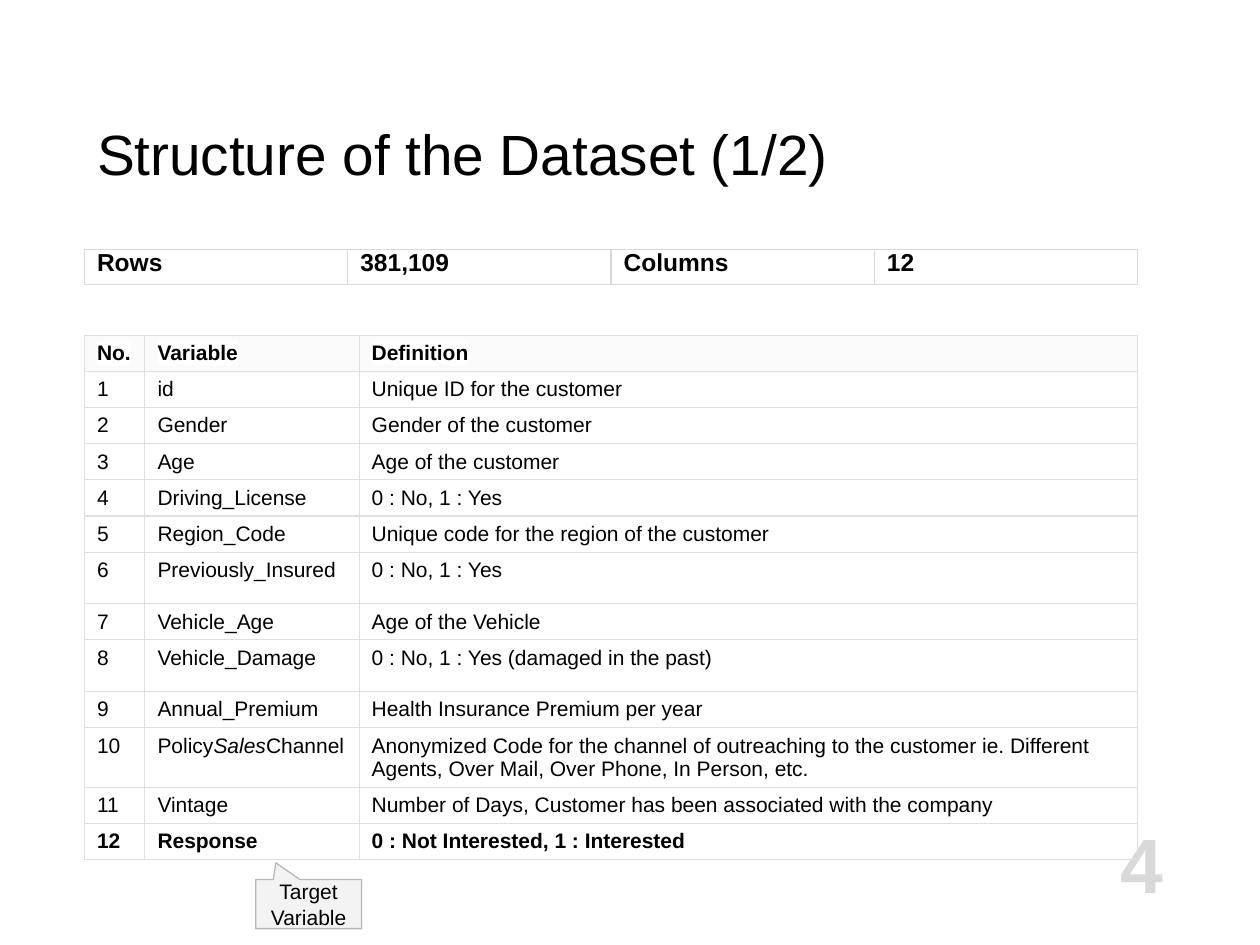
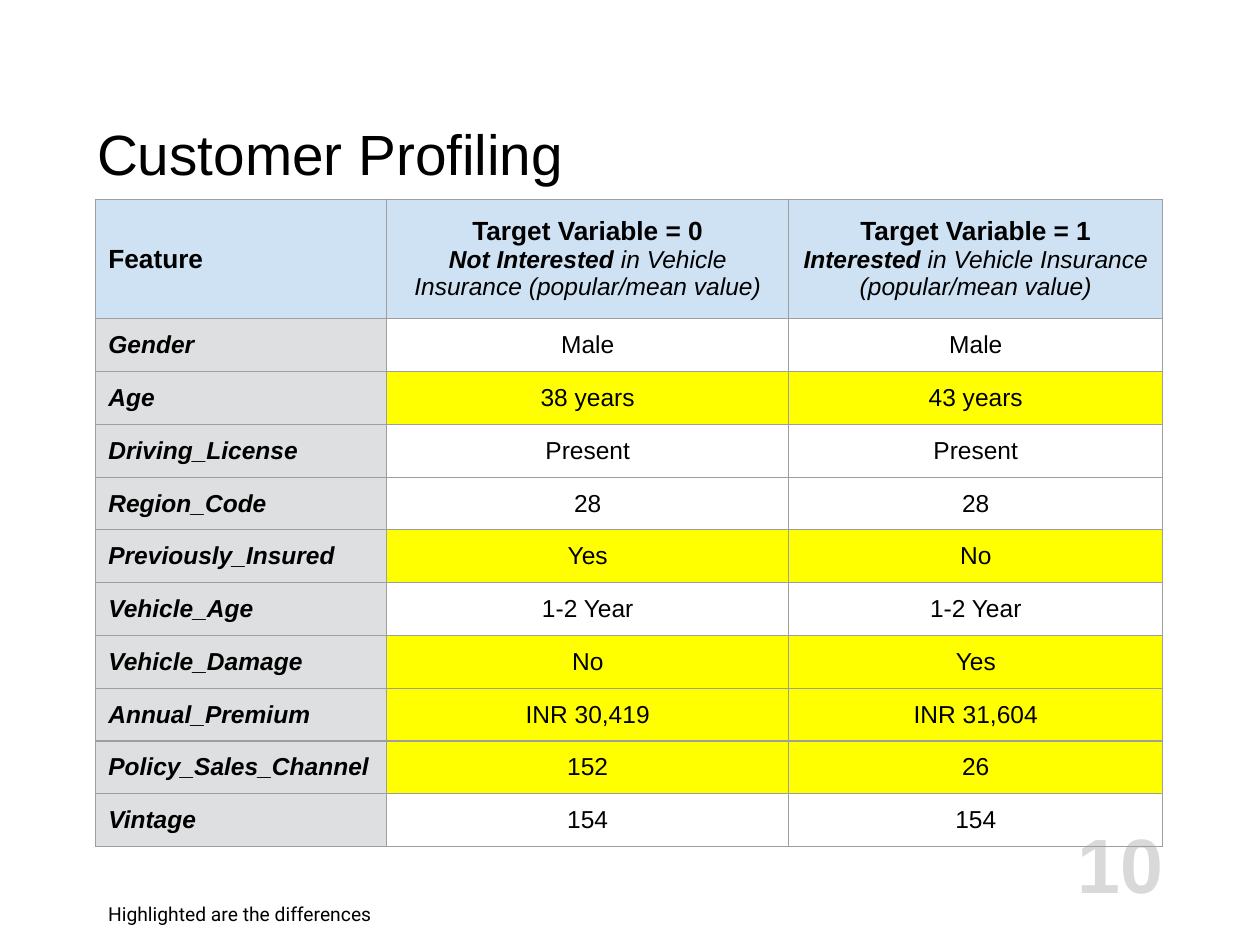
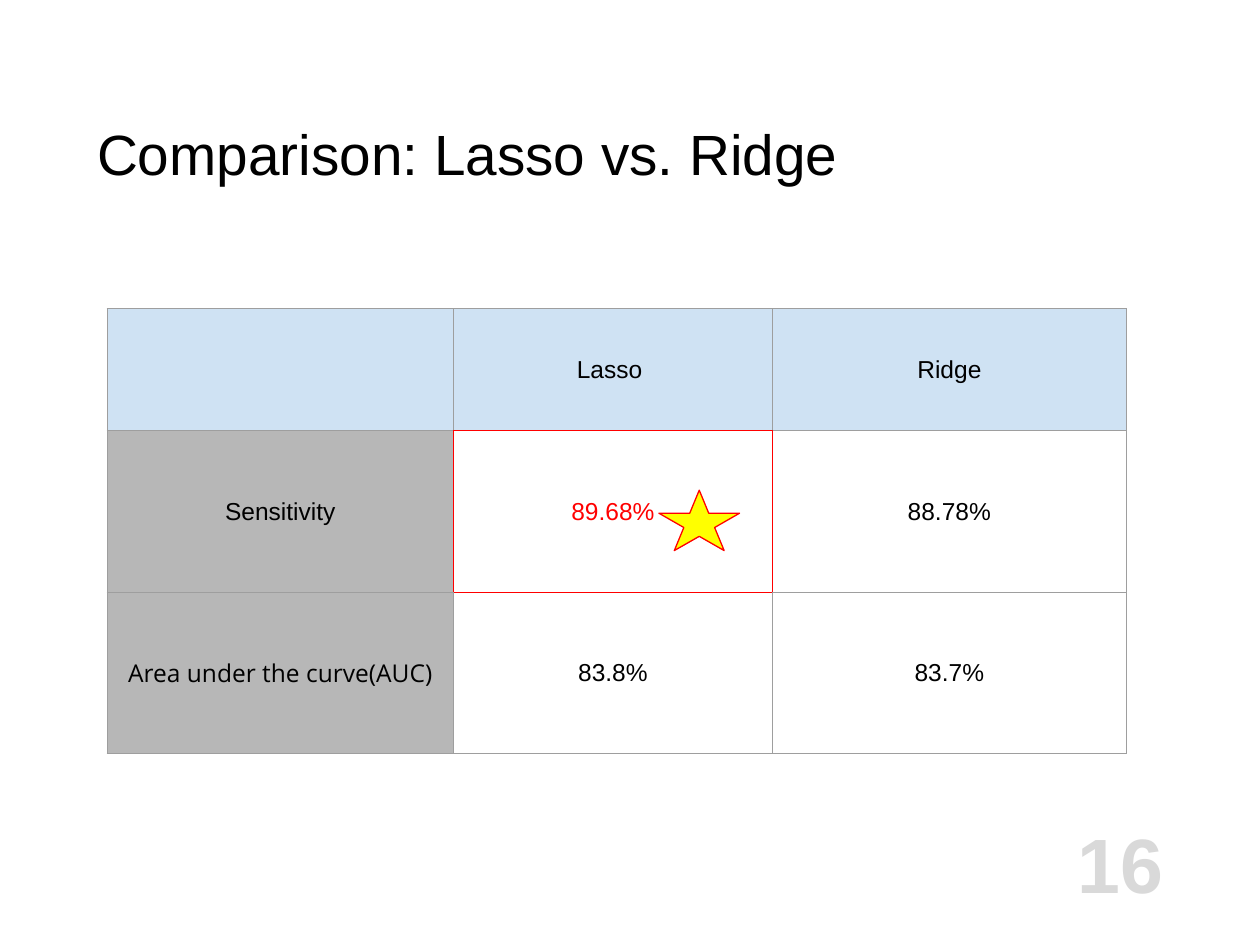
from dataclasses import dataclass, replace

from lxml import etree
from pptx import Presentation
from pptx.dml.color import RGBColor
from pptx.enum.shapes import MSO_SHAPE
from pptx.enum.text import MSO_ANCHOR, MSO_AUTO_SIZE, PP_ALIGN
from pptx.oxml.ns import qn
from pptx.util import Inches, Pt

LEFT, CENTER, RIGHT = PP_ALIGN.LEFT, PP_ALIGN.CENTER, PP_ALIGN.RIGHT
TOP, MIDDLE, BOTTOM = MSO_ANCHOR.TOP, MSO_ANCHOR.MIDDLE, MSO_ANCHOR.BOTTOM
FIXED, GROW = MSO_AUTO_SIZE.NONE, MSO_AUTO_SIZE.SHAPE_TO_FIT_TEXT
CALLOUT, STAR = MSO_SHAPE.ROUNDED_RECTANGULAR_CALLOUT, MSO_SHAPE.STAR_5_POINT


@dataclass(frozen=True)
class Theme:
    font: str = "Arial"
    note_font: str = "Roboto"
    label_font: str = "Open Sans"
    text: str = "000000"
    white: str = "FFFFFF"
    page_number: str = "D9D9D9"
    grid: str = "9E9E9E"
    light_grid: str = "DEDFE0"
    pale_header: str = "FBFBFB"
    blue_header: str = "CFE2F3"
    feature: str = "DEDFE0"
    metric: str = "B7B7B7"
    highlight: str = "FFFF00"
    alert: str = "FF0000"
    callout: str = "F3F3F3"
    callout_line: str = "B7B7B7"
    title_size: float = 32.4
    number_size: float = 44
    heading_size: float = 15
    body_size: float = 14
    small_size: float = 12
    note_size: float = 11
    line: float = 0.75


THEME = Theme()


@dataclass(frozen=True)
class Style:
    size: float = THEME.body_size
    bold: bool = False
    italic: bool = False
    color: str = THEME.text
    font: str = THEME.font
    marker: str = ""


BODY = Style()
BOLD = replace(BODY, bold=True)
ITALIC = replace(BODY, italic=True)
BOLD_ITALIC = replace(BOLD, italic=True)
HEADING = replace(BOLD, size=THEME.heading_size)
SMALL = Style(size=THEME.small_size)
MARKED = replace(SMALL, marker=THEME.white)
MARKED_BOLD = replace(MARKED, bold=True)


@dataclass(frozen=True)
class Box:
    left: float
    top: float
    width: float
    height: float

    def within(self, left, top, width, height):
        return Box(self.left + left, self.top + top, width, height)

    def lengths(self):
        return [Inches(value) for value in (self.left, self.top, self.width, self.height)]


@dataclass(frozen=True)
class Entry:
    paras: tuple = ()
    align: int = LEFT
    anchor: int = MIDDLE
    fill: str = ""


TITLE_BOX = Box(0.67, 0.83, 8.67, 0.75)
NUMBER_BOX = Box(7.75, 6.46, 1.58, 0.75)
EVEN_INSETS = (0.1, 0.1, 0.1, 0.1)


def line_entry(text, style, **options):
    return Entry((((text, style),),), **options)


def write(frame, paras, align):
    for index, spans in enumerate(paras):
        para = frame.add_paragraph() if index else frame.paragraphs[0]
        para.alignment = align
        for text, style in spans:
            span = para.add_run()
            span.text = text
            font = span.font
            font.size, font.bold, font.italic = Pt(style.size), style.bold, style.italic
            font.name = style.font
            font.color.rgb = RGBColor.from_string(style.color)
            if style.marker:
                marker = etree.Element(qn("a:highlight"))
                etree.SubElement(marker, qn("a:srgbClr"), val=style.marker)
                span._r.get_or_add_rPr().find(qn("a:solidFill")).addnext(marker)


def set_insets(target, insets):
    (target.margin_left, target.margin_top,
     target.margin_right, target.margin_bottom) = [Inches(value) for value in insets]


def fill_frame(shape, paras, align=LEFT, anchor=TOP, insets=EVEN_INSETS, fit=FIXED):
    frame = shape.text_frame
    frame.word_wrap = True
    frame.auto_size = fit
    frame.vertical_anchor = anchor
    set_insets(frame, insets)
    write(frame, paras, align)


def add_figure(page, kind, box, fill, line):
    shape = page.shapes.add_shape(kind, *box.lengths())
    shape.shadow.inherit = False
    shape.fill.solid()
    shape.fill.fore_color.rgb = RGBColor.from_string(fill)
    shape.line.color.rgb = RGBColor.from_string(line)
    shape.line.width = Pt(THEME.line)
    return shape


def set_borders(cell, colors):
    properties = cell._tc.get_or_add_tcPr()
    for index, (side, color) in enumerate(zip("LRTB", colors)):
        line = etree.Element(qn("a:ln" + side), w=str(Pt(THEME.line)))
        solid = etree.SubElement(line, qn("a:solidFill"))
        etree.SubElement(solid, qn("a:srgbClr"), val=color)
        properties.insert(index, line)


def border_colors(row, column, grid, framed):
    neighbours = ((row, column - 1), (row, column + 1), (row - 1, column), (row + 1, column))
    return [THEME.alert if framed in ((row, column), spot) else grid for spot in neighbours]


def add_grid(page, box, widths, heights, entries, grid, insets=EVEN_INSETS, framed=None):
    area = box.within(0, 0, sum(widths), sum(heights))
    table = page.shapes.add_table(len(heights), len(widths), *area.lengths()).table
    table.first_row = table.horz_banding = False
    for column, width in zip(table.columns, widths):
        column.width = Inches(width)
    for row, height in zip(table.rows, heights):
        row.height = Inches(height)
    for row, line in enumerate(entries):
        for column, entry in enumerate(line):
            cell = table.cell(row, column)
            set_insets(cell, insets)
            cell.vertical_anchor = entry.anchor
            if entry.fill:
                cell.fill.solid()
                cell.fill.fore_color.rgb = RGBColor.from_string(entry.fill)
            else:
                cell.fill.background()
            set_borders(cell, border_colors(row, column, grid, framed))
            write(cell.text_frame, entry.paras, entry.align)


def add_page(deck, title, number):
    page = deck.slides.add_slide(deck.slide_layouts[5])
    heading = page.shapes.title
    heading.left, heading.top, heading.width, heading.height = TITLE_BOX.lengths()
    title_style = Style(size=THEME.title_size)
    fill_frame(heading, [[(title, title_style)]], anchor=BOTTOM)
    number_style = Style(size=THEME.number_size, bold=True, color=THEME.page_number)
    fill_frame(page.shapes.add_textbox(*NUMBER_BOX.lengths()), [[(str(number), number_style)]],
               RIGHT, BOTTOM, (0.1, 0, 0.1, 0))
    return page


VARIABLES = [
    ("id", "Unique ID for the customer"),
    ("Gender", "Gender of the customer"),
    ("Age", "Age of the customer"),
    ("Driving_License", "0 : No, 1 : Yes"),
    ("Region_Code", "Unique code for the region of the customer"),
    ("Previously_Insured", "0 : No, 1 : Yes"),
    ("Vehicle_Age", "Age of the Vehicle"),
    ("Vehicle_Damage", "0 : No, 1 : Yes (damaged in the past)"),
    ("Annual_Premium", "Health Insurance Premium per year"),
    ("PolicySalesChannel", "Anonymized Code for the channel of outreaching to the customer "
     "ie. Different Agents, Over Mail, Over Phone, In Person, etc."),
    ("Vintage", "Number of Days, Customer has been associated with the company"),
    ("Response", "0 : Not Interested, 1 : Interested"),
]
TALL_VARIABLES = (6, 8, 10)


def variable_rows():
    rows = [[line_entry(text, MARKED_BOLD, fill=THEME.pale_header)
             for text in ("No.", "Variable", "Definition")]]
    for number, (name, definition) in enumerate(VARIABLES, 1):
        style = MARKED_BOLD if name == "Response" else MARKED
        row = [line_entry(text, style, anchor=TOP) for text in (str(number), name, definition)]
        if name == "PolicySalesChannel":
            spans = (("Policy", style), ("Sales", replace(style, italic=True)), ("Channel", style))
            row[1] = Entry((spans,), anchor=TOP)
        rows.append(row)
    return rows


def dataset_structure(page, box):
    heights = [0.41 if row in TALL_VARIABLES else 0.26 for row in range(len(VARIABLES) + 1)]
    add_grid(page, box.within(0, 0.68, 8.36, 4), (0.48, 1.7, 6.18), heights, variable_rows(),
             THEME.light_grid, (0.1, 0.05, 0.1, 0.05))
    counts = [line_entry(text, BOLD, anchor=TOP) for text in ("Rows", "381,109", "Columns", "12")]
    add_grid(page, box, [box.width / 4] * 4, [0.28], [counts], THEME.page_number, (0.1, 0, 0, 0))
    target = add_figure(page, CALLOUT, box.within(1.36, 5, 0.84, 0.39),
                        THEME.callout, THEME.callout_line)
    for index, value in enumerate((-0.31, -0.84, 0)):
        target.adjustments[index] = value
    fill_frame(target, [[("Target Variable", SMALL)]], CENTER, MIDDLE)


PROFILES = [
    ("Gender", "Male", "Male"),
    ("Age", "38 years", "43 years"),
    ("Driving_License", "Present", "Present"),
    ("Region_Code", "28", "28"),
    ("Previously_Insured", "Yes", "No"),
    ("Vehicle_Age", "1-2 Year", "1-2 Year"),
    ("Vehicle_Damage", "No", "Yes"),
    ("Annual_Premium", "INR 30,419", "INR 31,604"),
    ("Policy_Sales_Channel", "152", "26"),
    ("Vintage", "154", "154"),
]


def profile_header(value, answer):
    detail = ((answer, BOLD_ITALIC), (" in Vehicle Insurance (popular/mean value)", ITALIC))
    return Entry((((f"Target Variable = {value}", HEADING),), detail), CENTER,
                 fill=THEME.blue_header)


def customer_profile(page, box):
    rows = [[line_entry("Feature", HEADING, fill=THEME.blue_header),
             profile_header(0, "Not Interested"), profile_header(1, "Interested")]]
    for feature, *values in PROFILES:
        fill = THEME.highlight if values[0] != values[1] else ""
        rows.append([line_entry(feature, BOLD_ITALIC, fill=THEME.feature)]
                    + [line_entry(value, BODY, align=CENTER, fill=fill) for value in values])
    heights = [0.95] + [0.36] * len(PROFILES)
    add_grid(page, box, (2.31, 3.19, 2.97), heights, rows, THEME.grid)
    note = page.shapes.add_textbox(*box.within(0, 5.49, 7.9, 0.39).lengths())
    note_style = Style(size=THEME.note_size, font=THEME.note_font)
    fill_frame(note, [[("Highlighted are the differences", note_style)]], fit=GROW)


def model_comparison(page, box):
    alert = replace(BODY, color=THEME.alert)
    label = replace(BODY, font=THEME.label_font)
    rows = [
        [Entry(fill=THEME.blue_header)]
        + [line_entry(name, BODY, align=CENTER, fill=THEME.blue_header)
           for name in ("Lasso ", "Ridge")],
        [line_entry("Sensitivity", BODY, align=CENTER, fill=THEME.metric),
         line_entry("89.68%", alert, align=CENTER), line_entry("88.78%", BODY, align=CENTER)],
        [line_entry("Area under the curve(AUC)", label, align=CENTER, fill=THEME.metric),
         line_entry("83.8%", BODY, align=CENTER), line_entry("83.7%", BODY, align=CENTER)],
    ]
    add_grid(page, box, (2.75, 2.53, 2.81), (0.97, 1.28, 1.28), rows, THEME.grid, framed=(1, 1))
    add_figure(page, STAR, box.within(4.38, 1.44, 0.64, 0.48), THEME.highlight, THEME.alert)


def main():
    deck = Presentation()
    deck.slide_width, deck.slide_height = Inches(10), Inches(7.5)
    dataset_structure(add_page(deck, "Structure of the Dataset (1/2)", 4),
                      Box(0.67, 1.98, 8.36, 5.39))
    customer_profile(add_page(deck, "Customer Profiling", 10), Box(0.76, 1.58, 8.47, 5.88))
    model_comparison(add_page(deck, "Comparison: Lasso vs. Ridge", 16),
                     Box(0.85, 2.45, 8.09, 3.53))
    deck.save("out.pptx")


if __name__ == "__main__":
    main()
